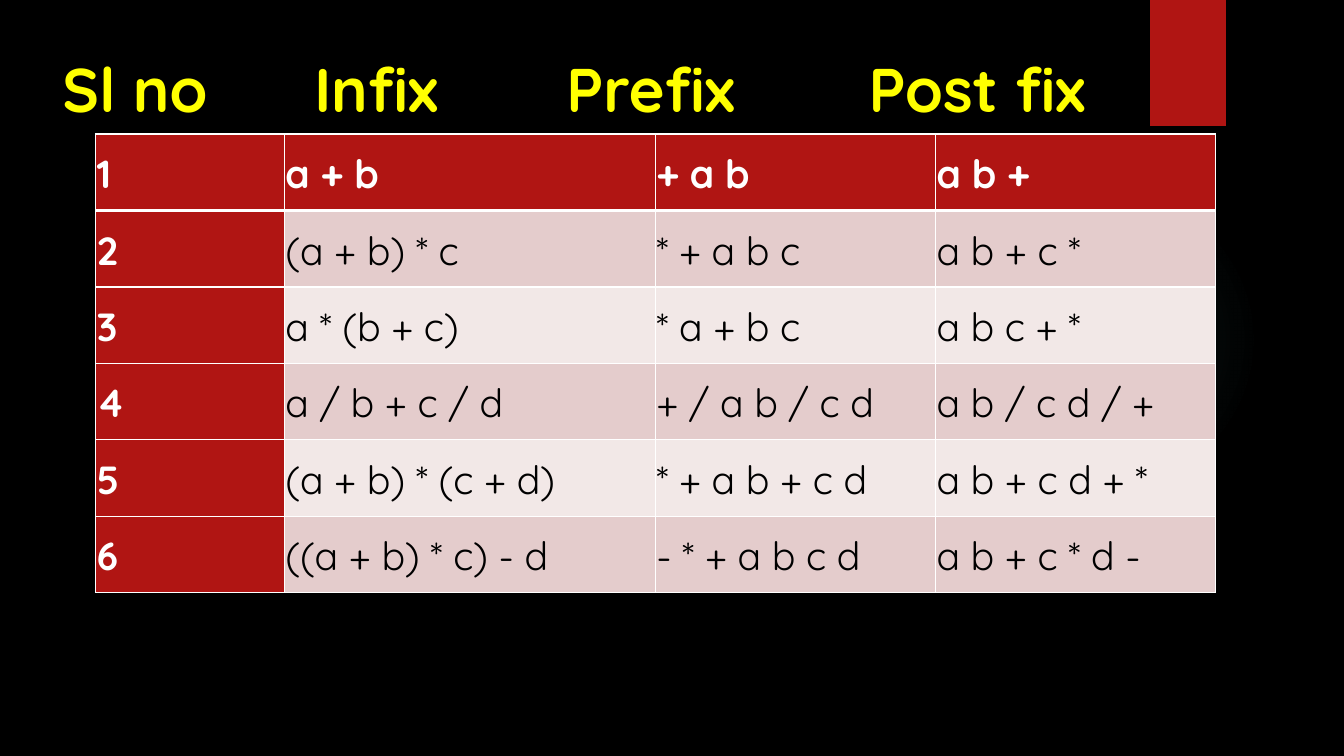
from dataclasses import dataclass

from lxml import etree
from pptx import Presentation
from pptx import util as u
from pptx.dml.color import RGBColor
from pptx.enum import shapes, text
from pptx.oxml import parse_xml
from pptx.oxml.ns import nsdecls, qn

COLOURS = {
    "background": "000000",
    "heading": "FFFF00",
    "accent": "B01513",
    "glow": "50B9C1",
    "line": "FFFFFF",
    "number": "FFFFFF",
    "expression": "000000",
    "even_row": "E4CCCC",
    "odd_row": "F2E8E7",
}
FONT = "Quicksand"
SLIDE_WIDTH = u.Inches(13.333)
SLIDE_HEIGHT = u.Inches(7.5)


@dataclass(frozen=True)
class Area:
    left: float
    top: float
    width: float
    height: float

    def box(self) -> tuple[int, int, int, int]:
        return across(self.left), down(self.top), across(self.width), down(self.height)


@dataclass(frozen=True)
class Heading:
    label: str
    tab: float


@dataclass(frozen=True)
class Notation:
    infix: str
    prefix: str
    postfix: str


GLOW = Area(70.58, 24.4, 23.1, 41.07)
RIBBON = Area(85.58, 0, 5.63, 16.67)
TITLE = Area(3.9, 5.6, 87.38, 12.13)
GRID = Area(7.13, 17.73, 83.33, 60.67)
COLUMN_WIDTHS = (14.03, 27.6, 20.85, 20.85)
GLOW_STOPS = ((0, 7), (36, 6), (69, 0))

HEADINGS = (
    Heading("Sl no", 0),
    Heading("Infix", 18.75),
    Heading("Prefix", 37.5),
    Heading("Post fix", 60),
)
NOTATIONS = (
    Notation("a + b", "+ a b", "a b +"),
    Notation("(a + b) * c", "* + a b c", "a b + c *"),
    Notation("a * (b + c)", "* a + b c", "a b c + *"),
    Notation("a / b + c / d", "+ / a b / c d", "a b / c d / +"),
    Notation("(a + b) * (c + d)", "* + a b + c d", "a b + c d + *"),
    Notation("((a + b) * c) - d", "- * + a b c d", "a b + c * d -"),
)


def across(percent: float) -> int:
    return round(SLIDE_WIDTH * percent / 100)


def down(percent: float) -> int:
    return round(SLIDE_HEIGHT * percent / 100)


def colour(name: str) -> RGBColor:
    return RGBColor.from_string(COLOURS[name])


def set_font(paragraph, size: float, name: str, bold: bool) -> None:
    font = paragraph.font
    font.name, font.size, font.bold = FONT, u.Pt(size), bold
    font.color.rgb = colour(name)


def add_plain_shape(slide, kind, area: Area):
    shape = slide.shapes.add_shape(kind, *area.box())
    shape.shadow.inherit = False
    shape.line.fill.background()
    return shape


def draw_glow(slide) -> None:
    glow = add_plain_shape(slide, shapes.MSO_SHAPE.OVAL, GLOW)
    glow.fill.background()
    stops = "".join(
        f'<a:gs pos="{position * 1000}"><a:srgbClr val="{COLOURS["glow"]}">'
        f'<a:alpha val="{opacity * 1000}"/></a:srgbClr></a:gs>'
        for position, opacity in GLOW_STOPS
    )
    gradient = parse_xml(
        f'<a:gradFill {nsdecls("a")}><a:gsLst>{stops}</a:gsLst><a:path path="circle">'
        '<a:fillToRect l="50000" t="50000" r="50000" b="50000"/></a:path></a:gradFill>'
    )
    properties = glow.element.spPr
    properties.replace(properties.find(qn("a:noFill")), gradient)


def draw_ribbon(slide) -> None:
    ribbon = add_plain_shape(slide, shapes.MSO_SHAPE.RECTANGLE, RIBBON)
    ribbon.fill.solid()
    ribbon.fill.fore_color.rgb = colour("accent")


def draw_headings(slide) -> None:
    frame = slide.shapes.add_textbox(*TITLE.box()).text_frame
    frame.word_wrap = True
    frame.vertical_anchor = text.MSO_ANCHOR.MIDDLE
    paragraph = frame.paragraphs[0]
    paragraph.text = "\t".join(heading.label for heading in HEADINGS)
    tabs = etree.SubElement(paragraph._p.get_or_add_pPr(), qn("a:tabLst"))
    for heading in HEADINGS[1:]:
        etree.SubElement(tabs, qn("a:tab"), pos=str(across(heading.tab)), algn="l")
    set_font(paragraph, 44, "heading", True)


def set_borders(cell, top: float, bottom: float) -> None:
    properties = cell._tc.get_or_add_tcPr()
    for side, points in (("L", 1), ("R", 1), ("T", top), ("B", bottom)):
        line = etree.SubElement(properties, qn(f"a:ln{side}"), w=str(u.Pt(points)))
        fill = etree.SubElement(line, qn("a:solidFill"))
        etree.SubElement(fill, qn("a:srgbClr"), val=COLOURS["line"])


def fill_cell(cell, content: str, row: int, column: int) -> None:
    strong = row == 0 or column == 0
    band = "even_row" if row % 2 else "odd_row"
    set_borders(cell, 3 if row == 1 else 1, 3 if row == 0 else 1)
    cell.fill.solid()
    cell.fill.fore_color.rgb = colour("accent" if strong else band)
    cell.margin_left = cell.margin_right = u.Inches(0.01)
    cell.margin_top = cell.margin_bottom = u.Inches(0.01)
    cell.vertical_anchor = text.MSO_ANCHOR.MIDDLE
    paragraph = cell.text_frame.paragraphs[0]
    paragraph.text = content
    paragraph.line_spacing = 1.07
    set_font(paragraph, 28, "number" if strong else "expression", strong)


def draw_notations(slide) -> None:
    table = slide.shapes.add_table(
        len(NOTATIONS), len(COLUMN_WIDTHS), *GRID.box()
    ).table
    table.first_col = True
    for column, width in zip(table.columns, COLUMN_WIDTHS):
        column.width = across(width)
    for row, notation in enumerate(NOTATIONS):
        table.rows[row].height = down(GRID.height / len(NOTATIONS))
        contents = (str(row + 1), notation.infix, notation.prefix, notation.postfix)
        for column, content in enumerate(contents):
            fill_cell(table.cell(row, column), content, row, column)


def main() -> None:
    deck = Presentation()
    deck.slide_width, deck.slide_height = SLIDE_WIDTH, SLIDE_HEIGHT
    slide = deck.slides.add_slide(deck.slide_layouts[6])
    slide.background.fill.solid()
    slide.background.fill.fore_color.rgb = colour("background")
    draw_glow(slide)
    draw_ribbon(slide)
    draw_headings(slide)
    draw_notations(slide)
    deck.save("out.pptx")


if __name__ == "__main__":
    main()
